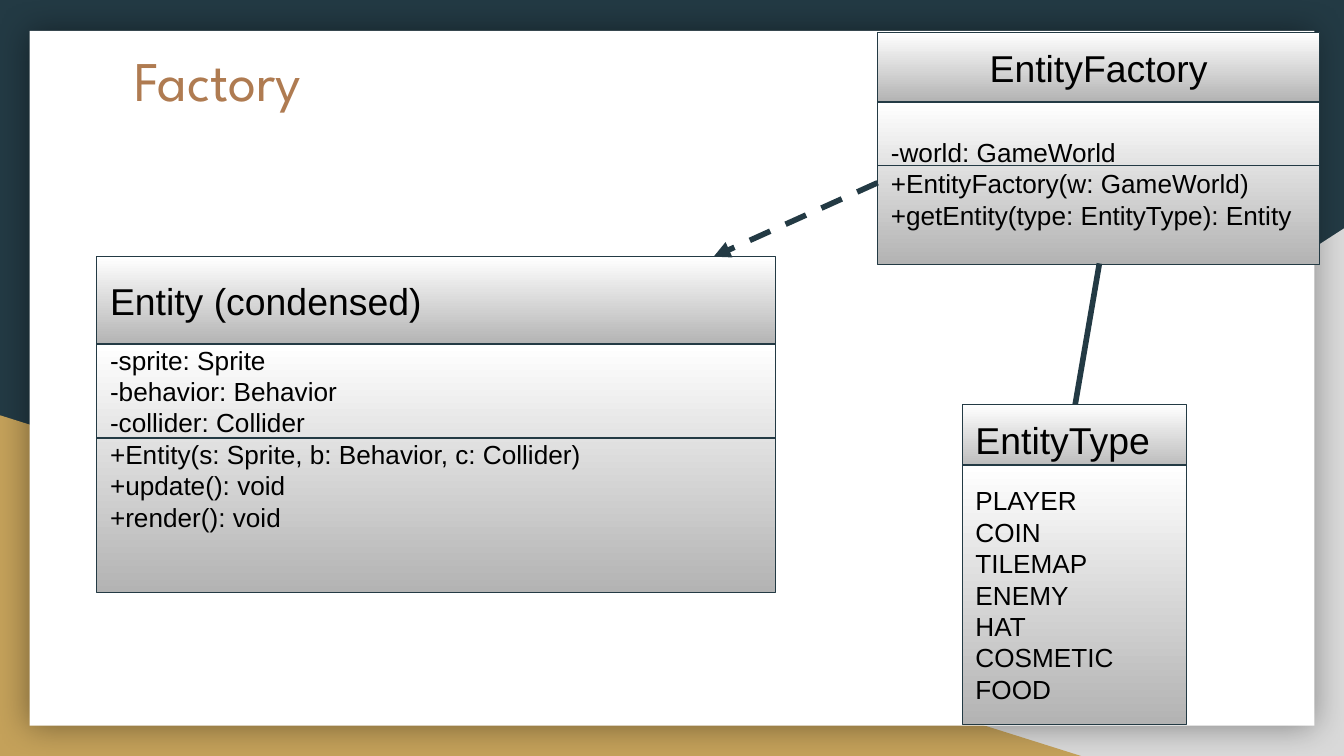
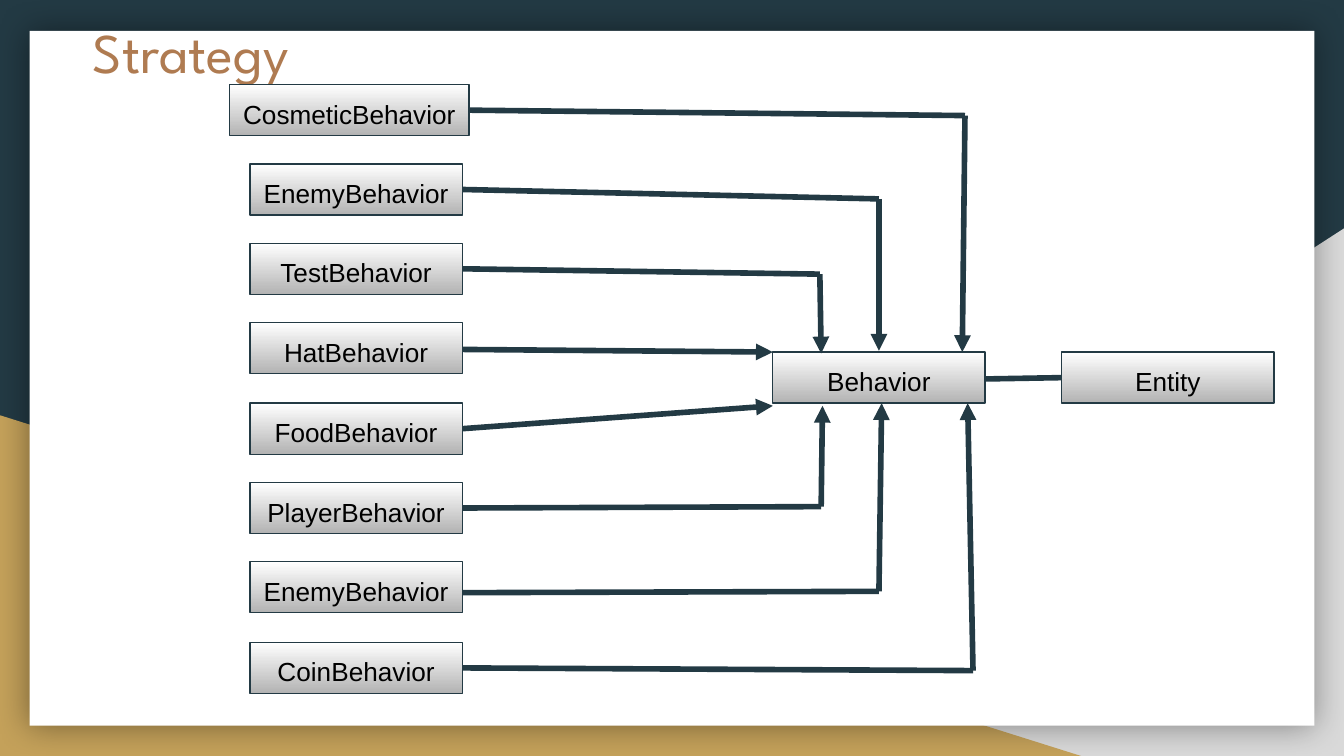
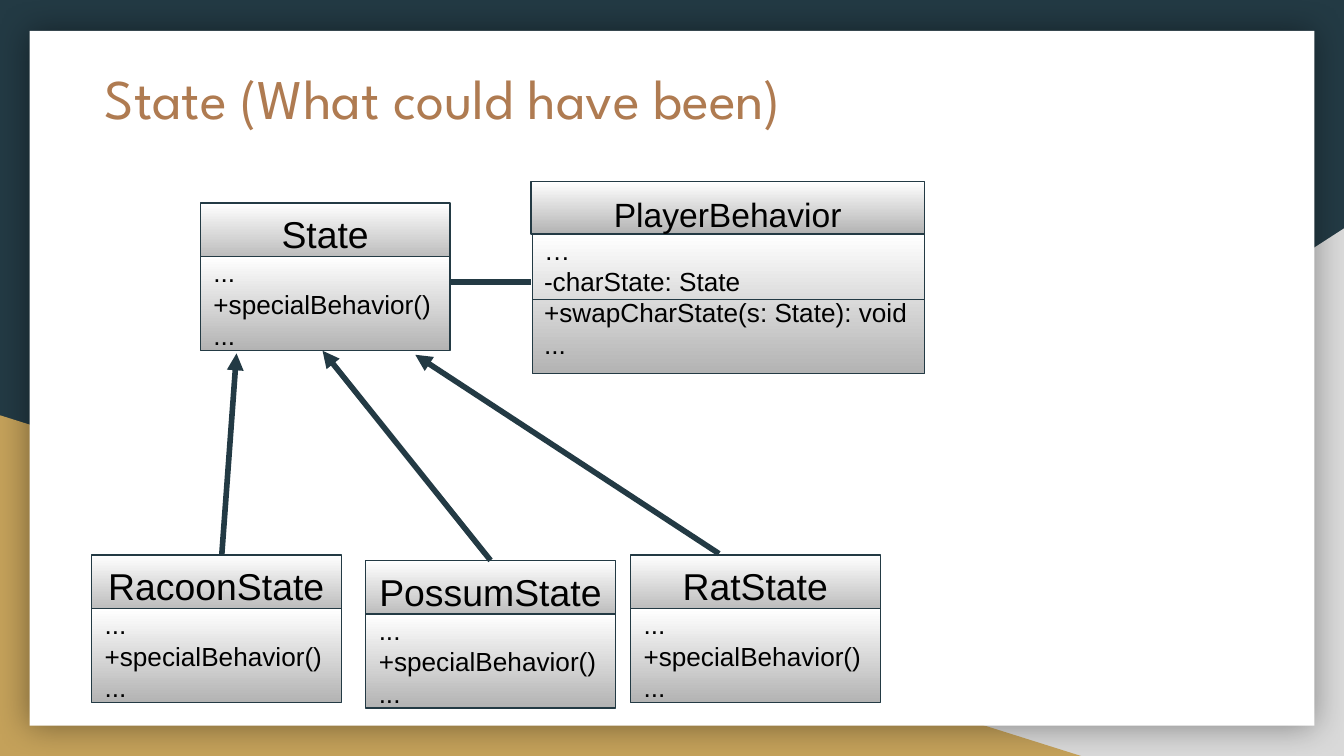
from dataclasses import dataclass
from typing import Any, Optional

from lxml import etree
from pptx import Presentation
from pptx import util as u
from pptx.dml.color import RGBColor
from pptx.enum import dml, shapes, text
from pptx.oxml.ns import qn

PX = u.Inches(1) // 100
WIDTH, HEIGHT = 1000 * PX, 1000 * PX * 9 // 16
INSET = 10
COLORS = {
    "ink": "233A44",
    "gold": "C4A15A",
    "gray": "D9D9D9",
    "paper": "FFFFFF",
    "shade": "B3B3B3",
    "title": "AF7B51",
    "text": "000000",
}
LEFT, CENTER = text.PP_ALIGN.LEFT, text.PP_ALIGN.CENTER
TOP, MIDDLE = text.MSO_ANCHOR.TOP, text.MSO_ANCHOR.MIDDLE
RECTANGLE = shapes.MSO_SHAPE.RECTANGLE
Box = tuple[int, int, int, int]
Point = tuple[int, int]


@dataclass(frozen=True)
class Label:
    """Lines of text with one look."""
    lines: tuple[str, ...]
    size: int = 14
    align: Any = LEFT
    anchor: Any = MIDDLE
    top_inset: int = INSET


@dataclass(frozen=True)
class Cell:
    box: Box
    label: Optional[Label] = None


@dataclass(frozen=True)
class Link:
    start: Point
    end: Point
    arrow: bool = False
    dashed: bool = False
    weight: float = 3


@dataclass(frozen=True)
class Route:
    """Path from a behavior box to the Behavior box, with an optional corner."""
    name: str
    start: Point
    tip: Point
    corner: Optional[Point] = None


ROUTES = (
    Route("CosmeticBehavior", (349, 82), (716, 262), (718, 86)),
    Route("EnemyBehavior", (344, 141), (654, 261), (654, 148)),
    Route("TestBehavior", (344, 200), (611, 263), (610, 204)),
    Route("HatBehavior", (344, 260), (575, 262)),
    Route("FoodBehavior", (344, 319), (575, 302)),
    Route("PlayerBehavior", (344, 378), (612, 302), (611, 377)),
    Route("EnemyBehavior", (344, 441), (656, 300), (654, 440)),
    Route("CoinBehavior", (344, 497), (720, 300), (724, 499)),
)


def color(name: str) -> RGBColor:
    return RGBColor.from_string(COLORS[name])


def emu(lengths: tuple[int, ...]) -> list[int]:
    return [length * PX for length in lengths]


def apply(target: Any, values: dict[str, Any]) -> None:
    for name, value in values.items():
        setattr(target, name, value)


def write(frame: Any, label: Label, font: str = "Arial", ink: str = "text") -> None:
    apply(frame, {
        "word_wrap": True,
        "auto_size": text.MSO_AUTO_SIZE.NONE,
        "vertical_anchor": label.anchor,
        "margin_left": INSET * PX,
        "margin_right": INSET * PX,
        "margin_top": label.top_inset * PX,
        "margin_bottom": INSET * PX,
    })
    for index, line in enumerate(label.lines):
        paragraph = frame.paragraphs[0] if index == 0 else frame.add_paragraph()
        paragraph.alignment = label.align
        run = paragraph.add_run()
        run.text = line
        apply(run.font, {"size": u.Pt(label.size), "name": font, "bold": False})
        run.font.color.rgb = color(ink)


def add_plain(parent: Any, kind: Any, box: Box, fill: str) -> Any:
    shape = parent.shapes.add_shape(kind, *emu(box))
    shape.shadow.inherit = False
    shape.fill.solid()
    shape.fill.fore_color.rgb = color(fill)
    shape.line.fill.background()
    return shape


def add_cell(parent: Any, cell: Cell) -> None:
    shape = parent.shapes.add_shape(RECTANGLE, *emu(cell.box))
    shape.shadow.inherit = False
    shape.fill.gradient()
    shape.fill.gradient_angle = 270
    for stop, position, name in zip(shape.fill.gradient_stops, (0, 1), ("paper", "shade")):
        stop.position = position
        stop.color.rgb = color(name)
    shape.line.color.rgb = color("ink")
    shape.line.width = u.Pt(0.75)
    if cell.label:
        write(shape.text_frame, cell.label)


def add_link(parent: Any, link: Link) -> None:
    connector = parent.shapes.add_connector(
        shapes.MSO_CONNECTOR.STRAIGHT, *emu(link.start + link.end))
    connector.line.color.rgb = color("ink")
    connector.line.width = u.Pt(link.weight)
    if link.dashed:
        connector.line.dash_style = dml.MSO_LINE.DASH
    properties = connector.element.spPr
    if link.arrow:
        etree.SubElement(properties.find(qn("a:ln")), qn("a:tailEnd"), type="triangle")
    etree.SubElement(properties, qn("a:effectLst"))


def add_class(slide: Any, *cells: Cell, divider: Optional[int] = None) -> Any:
    """Group the stacked cells of a class, with a line across at the divider height."""
    group = slide.shapes.add_group_shape()
    for cell in cells:
        add_cell(group, cell)
    if divider is not None:
        left, _, width, _ = cells[0].box
        add_link(group, Link((left, divider), (left + width, divider), weight=0.75))
    return group


def add_titled(presentation: Any, title: str, left: int, top: int) -> Any:
    slide = presentation.slides.add_slide(presentation.slide_layouts[5])
    placeholder = slide.shapes.title
    apply(placeholder, dict(zip(("left", "top", "width", "height"),
                                emu((left, top, 821, 104)))))
    write(placeholder.text_frame, Label((title,), 30, anchor=TOP), "League Spartan", "title")
    return slide


def dress_layout(slide: Any) -> None:
    """Give the slide's layout the dark ground, the two triangles and the paper."""
    layout = slide.slide_layout
    layout.background.fill.solid()
    layout.background.fill.fore_color.rgb = color("ink")
    triangle = shapes.MSO_SHAPE.RIGHT_TRIANGLE
    right = add_plain(slide, triangle, (392, 170, 608, 393), "gray")
    right.element.spPr.find(qn("a:xfrm")).set("flipH", "1")
    left = add_plain(slide, triangle, (0, 309, 806, 254), "gold")
    paper = add_plain(slide, RECTANGLE, (22, 23, 956, 517), "paper")
    shadow = etree.SubElement(
        paper.element.spPr.find(qn("a:effectLst")), qn("a:outerShdw"),
        blurRad=str(u.Pt(18)), dist="0", dir="0", algn="ctr", rotWithShape="0")
    black = etree.SubElement(shadow, qn("a:srgbClr"), val=COLORS["text"])
    etree.SubElement(black, qn("a:alpha"), val="40000")
    first = layout.placeholders[0].element
    for shape in (right, left, paper):
        first.addprevious(shape.element)


def build_factory(presentation: Any) -> None:
    slide = add_titled(presentation, "Factory", 90, 24)
    dress_layout(slide)
    add_class(
        slide,
        Cell((653, 24, 329, 52), Label(("EntityFactory",), 20, CENTER)),
        Cell((653, 76, 329, 121), Label((
            "-world: GameWorld",
            "+EntityFactory(w: GameWorld)",
            "+getEntity(type: EntityType): Entity"))),
        divider=123)
    add_class(
        slide,
        Cell((716, 301, 167, 52), Label(("EntityType",), 20)),
        Cell((716, 346, 167, 193), Label((
            "PLAYER", "COIN", "TILEMAP", "ENEMY", "HAT", "COSMETIC", "FOOD"))))
    add_class(
        slide,
        Cell((72, 191, 505, 66), Label(("Entity (condensed)",), 20)),
        Cell((72, 256, 505, 185), Label((
            "-sprite: Sprite",
            "-behavior: Behavior",
            "-collider: Collider",
            "+Entity(s: Sprite, b: Behavior, c: Collider)",
            "+update(): void",
            "+render(): void"), anchor=TOP, top_inset=0)),
        divider=326)
    add_link(slide, Link((653, 136), (531, 191), arrow=True, dashed=True))
    add_link(slide, Link((800, 301), (818, 196)))


def build_strategy(presentation: Any) -> None:
    slide = add_titled(presentation, "Strategy", 59, 3)
    first_top, last_top = 63, 478
    boxes = [("Behavior", (575, 262, 158, 38)), ("Entity", (790, 262, 158, 38))]
    for index, route in enumerate(ROUTES):
        top = first_top + (last_top - first_top) * index // (len(ROUTES) - 1)
        left, width = (171, 178) if index == 0 else (186, 158)
        boxes.append((route.name, (left, top, width, 38)))
    for name, box in boxes:
        add_cell(slide, Cell(box, Label((name,), align=CENTER, anchor=TOP)))
    for route in ROUTES:
        if route.corner:
            add_link(slide, Link(route.start, route.corner))
        add_link(slide, Link(route.corner or route.start, route.tip, arrow=True))
    add_link(slide, Link((733, 282), (790, 281)))


def build_state(presentation: Any) -> None:
    slide = add_titled(presentation, "State (What could have been)", 68, 37)
    player = add_class(
        slide, Cell((396, 174, 292, 104)), Cell((395, 135, 293, 39)), divider=223)
    caption = player.shapes.add_textbox(*emu((395, 134, 293, 179)))
    write(caption.text_frame, Label(("PlayerBehavior",), 18, CENTER, TOP))
    members = ("…", "-charState: State", "+swapCharState(s: State): void", "...")
    for member in members:
        paragraph = caption.text_frame.add_paragraph()
        run = paragraph.add_run()
        run.text = member
        apply(run.font, {"size": u.Pt(14), "name": "Arial"})
        run.font.color.rgb = color("text")
    for name, left, top in (("State", 149, 151), ("RacoonState", 68, 413),
                            ("PossumState", 272, 417), ("RatState", 469, 413)):
        add_class(
            slide,
            Cell((left, top, 186, 46), Label((name,), 20, CENTER)),
            Cell((left, top + 40, 186, 70), Label(("...", "+specialBehavior()", "..."))))
    add_link(slide, Link((335, 210), (395, 210)))
    for start, end in (((165, 413), (176, 263)), ((365, 417), (240, 261)),
                       ((535, 412), (309, 264))):
        add_link(slide, Link(start, end, arrow=True))


def main() -> None:
    presentation = Presentation()
    apply(presentation, {"slide_width": WIDTH, "slide_height": HEIGHT})
    build_factory(presentation)
    build_strategy(presentation)
    build_state(presentation)
    presentation.save("out.pptx")


if __name__ == "__main__":
    main()
